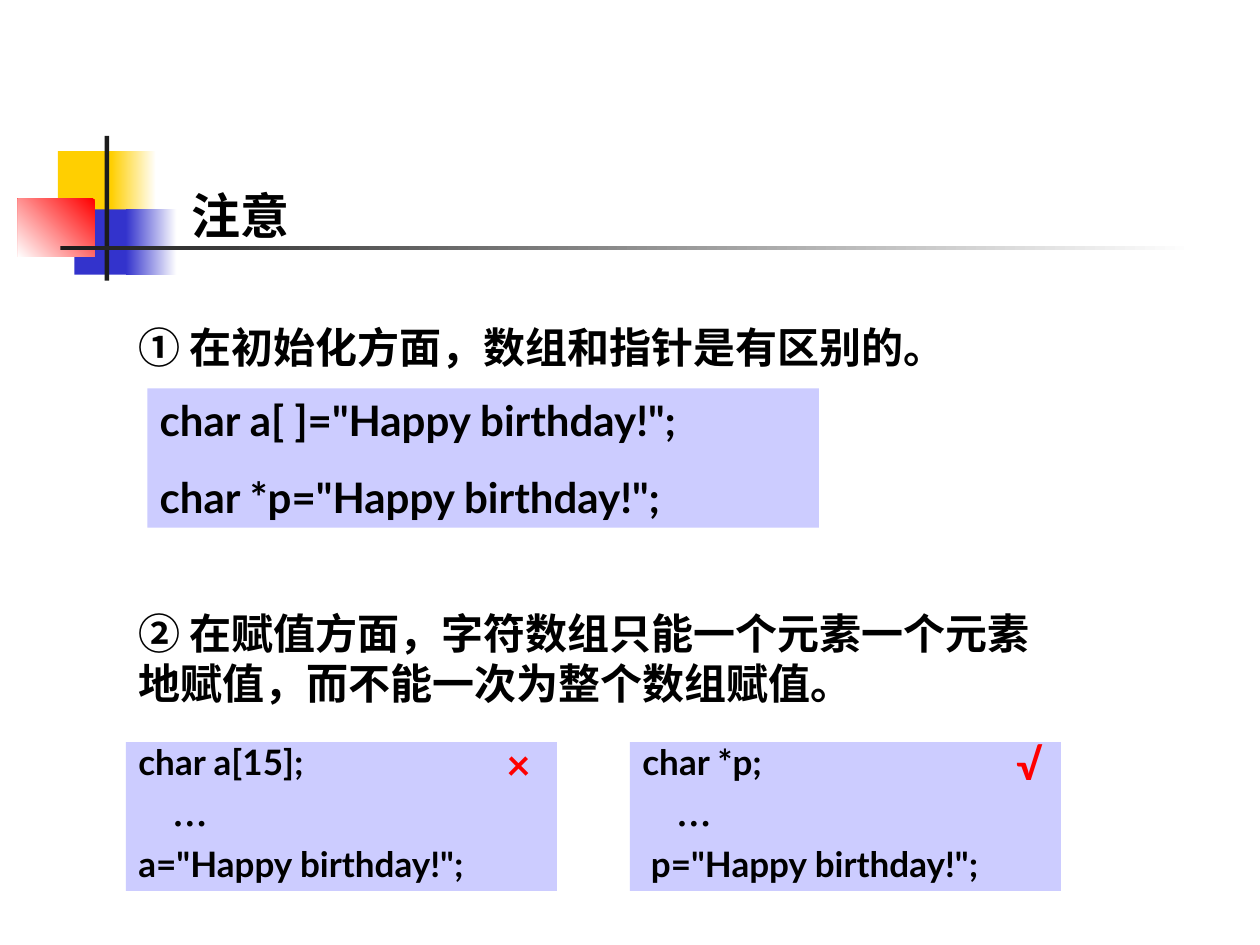
from dataclasses import dataclass

from lxml.etree import SubElement
from pptx import Presentation
from pptx.dml.color import RGBColor
from pptx.enum.shapes import MSO_SHAPE
from pptx.enum.text import MSO_ANCHOR, MSO_AUTO_SIZE, PP_ALIGN
from pptx.oxml.ns import qn
from pptx.util import Cm, Pt


@dataclass(frozen=True)
class Theme:
    chinese: str = "Noto Sans CJK SC"
    code: str = "Lato"
    ellipsis: str = "Times New Roman"
    ink: str = "000000"
    mark: str = "FF0000"
    panel: str = "CCCCFF"
    white: str = "FFFFFF"
    yellow: str = "FFCF01"
    blue: str = "3333CC"
    red: str = "FF0000"
    rule: str = "1C1C1C"
    title_size: int = 28
    body_size: int = 24
    small_size: int = 20


THEME = Theme()

# Content: boxes are left, top, width, height in centimetres
TITLE = ("注意", (3.61, 3.18, 4.42, 1.88))
POINTS = [
    ("① 在初始化方面，数组和指针是有区别的。", (2.54, 6.35, 18.85, 1.28)),
    ("② 在赋值方面，字符数组只能一个元素一个元素地赋值，而不能一次为整个数组赋值。",
     (2.54, 12.12, 18.85, 2.29)),
]
INIT_CODE = ['char a[ ]="Happy birthday!";', 'char *p="Happy birthday!";']
INIT_BOX = (2.97, 7.83, 13.54, 2.81)
ASSIGNMENTS = [
    (["char a[15];", "    …", 'a="Happy birthday!";'], "×", 7.42),
    (["char *p;", "    …", ' p="Happy birthday!";'], "√", 7.54),
]
PANEL_LEFT, PANEL_TOP, PANEL_STEP = 2.54, 14.96, 10.16
PANEL_SIZE = (8.69, 3.0)
MARK_TOP, MARK_SIZE = 14.77, (1.47, 1.28)

# Ornament: box, colour, and gradient angle to white (None for solid)
ORNAMENT = [
    ((1.17, 3.05, 1.22, 1.32), THEME.yellow, None),
    ((2.24, 3.05, 0.91, 1.32), THEME.yellow, 0),
    ((1.5, 4.22, 1.17, 1.32), THEME.blue, None),
    ((2.54, 4.22, 1.02, 1.32), THEME.blue, 0),
    ((0.36, 4.01, 1.55, 1.17), THEME.red, 225),
    ((2.11, 2.74, 0.09, 2.92), THEME.rule, None),
    ((1.22, 4.95, 22.86, 0.09), THEME.rule, 0),
]


def place(box):
    return [Cm(value) for value in box]


def set_face(font, name):
    """Use one typeface for both Latin and East Asian text."""
    font.name = name
    latin = font._element.find(qn("a:latin")) if hasattr(font, "_element") else font._rPr.find(qn("a:latin"))
    east_asian = SubElement(latin.getparent(), qn("a:ea"))
    east_asian.set("typeface", name)
    latin.addnext(east_asian)


def write(shape, lines, size, face, color=THEME.ink, gap=0, spacing=None,
          align=PP_ALIGN.LEFT, anchor=MSO_ANCHOR.TOP):
    frame = shape.text_frame
    frame.word_wrap = True
    frame.auto_size = MSO_AUTO_SIZE.NONE
    frame.vertical_anchor = anchor
    for index, line in enumerate(lines):
        para = frame.paragraphs[0] if index == 0 else frame.add_paragraph()
        para.alignment = align
        para.space_before = Pt(gap if index else 0)
        if spacing:
            para.line_spacing = spacing
        para.font.size = Pt(size)
        para.font.bold = True
        para.font.color.rgb = RGBColor.from_string(color)
        set_face(para.font, face)
        before, dots, after = line.partition("…")
        for text in filter(None, (before, dots, after)):
            span = para.add_run()
            span.text = text
            if text == "…":
                set_face(span.font, THEME.ellipsis)


def add_block(shapes, box, color, angle=None):
    block = shapes.add_shape(MSO_SHAPE.RECTANGLE, *place(box))
    block.shadow.inherit = False
    block.line.fill.background()
    if angle is None:
        block.fill.solid()
        block.fill.fore_color.rgb = RGBColor.from_string(color)
    else:
        block.fill.gradient()
        block.fill.gradient_angle = angle
        for stop, shade in zip(block.fill.gradient_stops, (color, THEME.white)):
            stop.color.rgb = RGBColor.from_string(shade)
    return block


def main():
    deck = Presentation()
    deck.slide_width, deck.slide_height = Cm(25.4), Cm(19.05)
    page = deck.slides.add_slide(deck.slide_layouts[5])

    # Ornament and title
    for box, color, angle in ORNAMENT:
        add_block(page.shapes, box, color, angle)
    text, box = TITLE
    title = page.shapes.title
    title.left, title.top, title.width, title.height = place(box)
    write(title, [text], THEME.title_size, THEME.chinese, anchor=MSO_ANCHOR.BOTTOM)

    # Numbered points
    for text, box in POINTS:
        write(page.shapes.add_textbox(*place(box)), [text], THEME.body_size, THEME.chinese)

    # Initialisation code
    panel = add_block(page.shapes, INIT_BOX, THEME.panel)
    write(panel, INIT_CODE, THEME.body_size, THEME.code, gap=15)

    # Assignment code, each panel grouped with its verdict
    for index, (code, verdict, mark_offset) in enumerate(ASSIGNMENTS):
        left = PANEL_LEFT + index * PANEL_STEP
        group = page.shapes.add_group_shape()
        panel = add_block(group.shapes, (left, PANEL_TOP, *PANEL_SIZE), THEME.panel)
        write(panel, code, THEME.small_size, THEME.code, gap=10, spacing=0.8,
              align=PP_ALIGN.JUSTIFY)
        mark = group.shapes.add_textbox(*place((left + mark_offset, MARK_TOP, *MARK_SIZE)))
        write(mark, [verdict], THEME.body_size, THEME.code, THEME.mark)

    deck.save("out.pptx")


if __name__ == "__main__":
    main()
